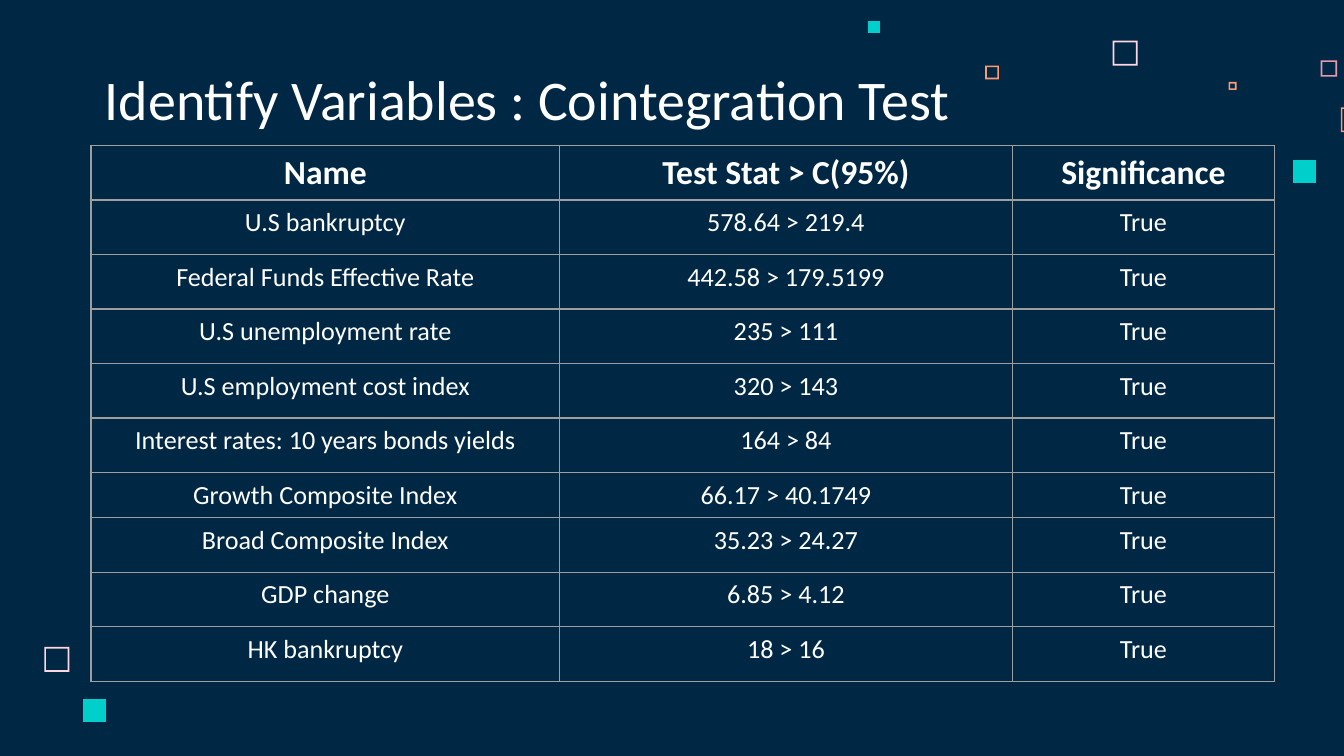
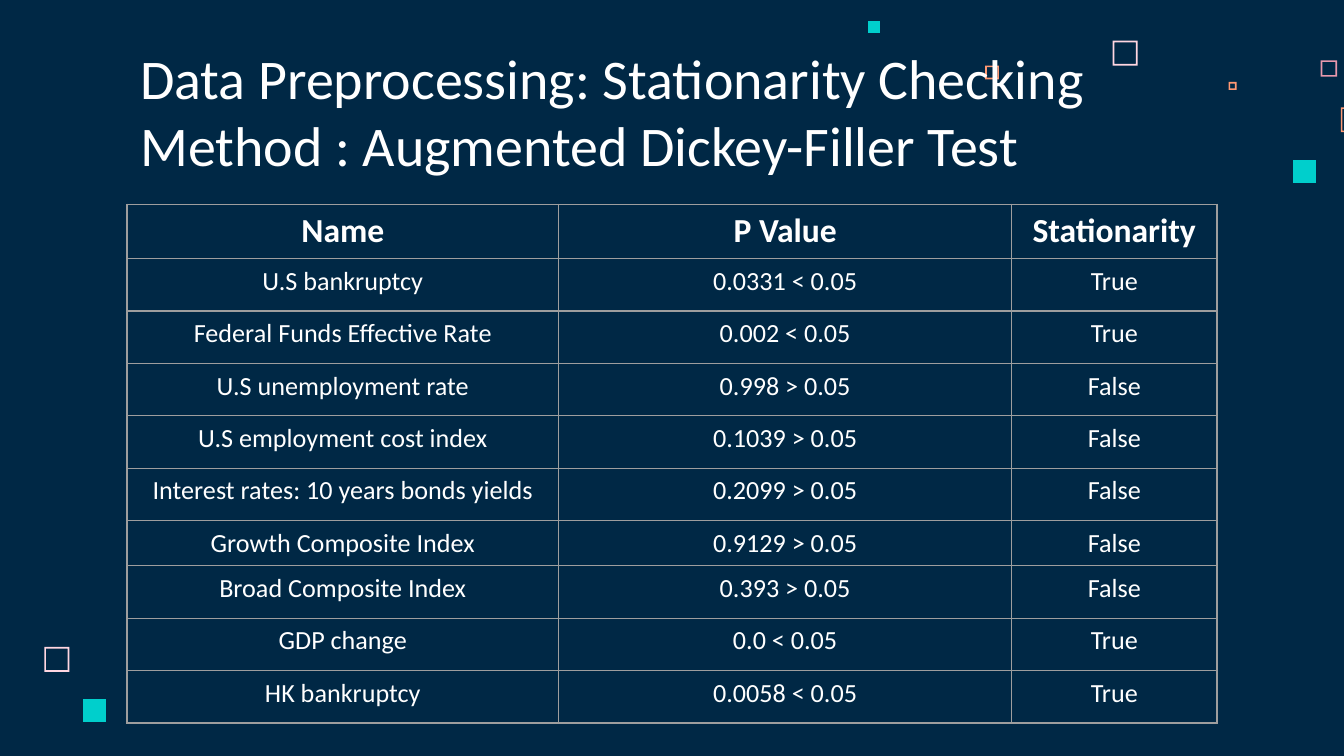
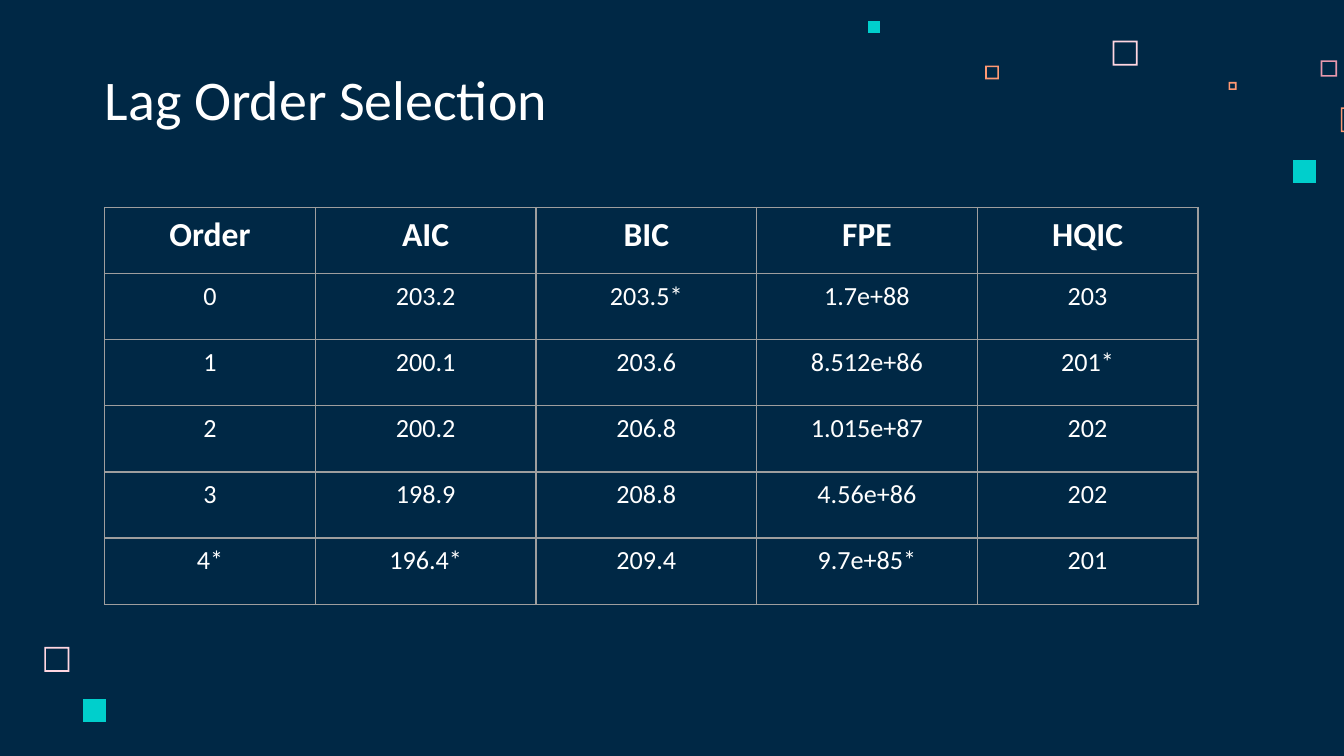
from lxml.etree import SubElement
from pptx import Presentation
from pptx.dml.color import RGBColor
from pptx.enum.text import MSO_ANCHOR, MSO_AUTO_SIZE, PP_ALIGN
from pptx.oxml.ns import qn
from pptx.util import Cm, Pt

FONT = "Calibri"
NAVY, WHITE, GREY = "002845", "FFFFFF", "9E9E9E"
TEAL, ORANGE, PINK, ROSE = "00CFCC", "FF9973", "FFD6E1", "E898AC"
BORDER_WIDTH = Pt(0.75)
FRAME_THICKNESS = 0.03
TITLE_HEIGHT = 1.6

# left, top, side (cm), colour
SOLID_SQUARES = [
    (24.43, 3.02, 0.44, TEAL),
    (16.41, 0.4, 0.23, TEAL),
    (1.57, 13.21, 0.44, TEAL),
]
HOLLOW_SQUARES = [
    (21.03, 0.77, 0.47, PINK),
    (24.96, 1.14, 0.31, ROSE),
    (23.22, 1.55, 0.15, ORANGE),
    (25.34, 2.03, 0.47, ORANGE),
    (18.62, 1.24, 0.26, ORANGE),
    (0.84, 12.23, 0.47, PINK),
]

INDICATORS = [
    "U.S bankruptcy",
    "Federal Funds Effective Rate",
    "U.S unemployment rate",
    "U.S employment cost index",
    "Interest rates: 10 years bonds yields",
    "Growth Composite Index",
    "Broad Composite Index",
    "GDP change",
    "HK bankruptcy",
]
SHORT_ROW = 6
COINTEGRATION_STATS = [
    "578.64 > 219.4", "442.58 > 179.5199", "235 > 111", "320 > 143", "164 > 84",
    "66.17 > 40.1749", "35.23 > 24.27", "6.85 > 4.12", "18 > 16",
]
STATIONARITY_P_VALUES = [
    "0.0331 < 0.05", "0.002 < 0.05", "0.998 > 0.05", "0.1039 > 0.05", "0.2099 > 0.05",
    "0.9129 > 0.05", "0.393 > 0.05", "0.0 < 0.05", "0.0058 < 0.05",
]
LAG_ORDERS = [
    ("Order", "AIC", "BIC", "FPE", "HQIC"),
    ("0", "203.2", "203.5*", "1.7e+88", "203"),
    ("1", "200.1", "203.6", "8.512e+86", "201*"),
    ("2", "200.2", "206.8", "1.015e+87", "202"),
    ("3", "198.9", "208.8", "4.56e+86", "202"),
    ("4*", "196.4*", "209.4", "9.7e+85*", "201"),
]


def color(hex_code):
    return RGBColor.from_string(hex_code)


def format_spans(para, size, bold=False):
    for span in para.runs:
        span.font.name = FONT
        span.font.size = Pt(size)
        span.font.bold = bold
        span.font.color.rgb = color(WHITE)


def add_square(page, left, top, side, hex_code, hollow=False):
    right, bottom = left + side, top + side
    builder = page.shapes.build_freeform(Cm(left), Cm(top))
    corners = [(right, top), (right, bottom), (left, bottom)]
    builder.add_line_segments([(Cm(x), Cm(y)) for x, y in corners])
    if hollow:
        near_x, near_y = left + FRAME_THICKNESS, top + FRAME_THICKNESS
        far_x, far_y = right - FRAME_THICKNESS, bottom - FRAME_THICKNESS
        builder.move_to(Cm(near_x), Cm(near_y))
        corners = [(near_x, far_y), (far_x, far_y), (far_x, near_y)]
        builder.add_line_segments([(Cm(x), Cm(y)) for x, y in corners])
    square = builder.convert_to_shape()
    square.shadow.inherit = False
    square.fill.solid()
    square.fill.fore_color.rgb = color(hex_code)
    square.line.fill.background()
    return square


def decorate_layout(layout, page):
    """Draw the squares on a page and hand them to the layout all pages share."""
    layout.background.fill.solid()
    layout.background.fill.fore_color.rgb = color(NAVY)
    squares = [add_square(page, *square) for square in SOLID_SQUARES]
    squares += [add_square(page, *square, hollow=True) for square in HOLLOW_SQUARES]
    for square in squares:
        layout.shapes.element.append(square.element)


def place_title(page, text, left, top, width):
    title = page.shapes.title
    title.left, title.top = Cm(left), Cm(top)
    title.width, title.height = Cm(width), Cm(TITLE_HEIGHT)
    frame = title.text_frame
    frame.text = text
    frame.word_wrap = True
    frame.auto_size = MSO_AUTO_SIZE.NONE
    frame.vertical_anchor = MSO_ANCHOR.BOTTOM
    frame.margin_left = frame.margin_right = Cm(0.25)
    frame.margin_top = frame.margin_bottom = Cm(0.25)
    para = frame.paragraphs[0]
    para.alignment = PP_ALIGN.LEFT
    format_spans(para, 30)


def outline_cell(cell):
    properties = cell._tc.get_or_add_tcPr()
    for side in ("a:lnL", "a:lnR", "a:lnT", "a:lnB"):
        line = SubElement(properties, qn(side), w=str(BORDER_WIDTH))
        fill = SubElement(line, qn("a:solidFill"))
        SubElement(fill, qn("a:srgbClr"), val=GREY)


def fill_cell(cell, text, is_header):
    outline_cell(cell)
    cell.fill.background()
    cell.text = text
    para = cell.text_frame.paragraphs[0]
    para.alignment = PP_ALIGN.CENTER
    format_spans(para, 18 if is_header else 14, bold=is_header)


def place_table(page, rows, left, top, column_widths, row_heights):
    box = page.shapes.add_table(
        len(rows), len(column_widths), Cm(left), Cm(top),
        Cm(sum(column_widths)), Cm(sum(row_heights)),
    )
    table = box.table
    table.first_row = table.horz_banding = False
    for column, width in zip(table.columns, column_widths):
        column.width = Cm(width)
    for row_index, (values, height) in enumerate(zip(rows, row_heights)):
        table.rows[row_index].height = Cm(height)
        for column_index, text in enumerate(values):
            fill_cell(table.cell(row_index, column_index), text, row_index == 0)


def indicator_row_heights(regular, short):
    heights = [regular] * (len(INDICATORS) + 1)
    heights[SHORT_ROW] = short
    return heights


def build_cointegration(page):
    rows = [("Name", "Test Stat > C(95%)", "Significance")]
    rows += [(name, stat, "True") for name, stat in zip(INDICATORS, COINTEGRATION_STATS)]
    place_title(page, "Identify Variables : Cointegration Test", 1.73, 1.14, 17.68)
    place_table(page, rows, 1.72, 2.75, [8.86, 8.55, 4.96], indicator_row_heights(1.03, 0.56))


def build_stationarity(page):
    rows = [("Name", "P Value", "Stationarity")]
    for name, p_value in zip(INDICATORS, STATIONARITY_P_VALUES):
        rows.append((name, p_value, "True" if "<" in p_value else "False"))
    title = "Data Preprocessing: Stationarity Checking\vMethod : Augmented Dickey-Filler Test"
    place_title(page, title, 2.4, 2.01, 20.6)
    place_table(page, rows, 2.4, 3.86, [8.16, 8.56, 3.88], indicator_row_heights(0.99, 0.82))


def build_lag_order(page):
    place_title(page, "Lag Order Selection", 1.73, 1.14, 13.13)
    place_table(page, LAG_ORDERS, 1.98, 3.92, [3.98] + [4.17] * 4, [1.25] * len(LAG_ORDERS))


def main():
    deck = Presentation()
    deck.slide_width, deck.slide_height = Cm(25.4), Cm(14.29)
    layout = deck.slide_layouts.get_by_name("Title Only")
    builders = [build_cointegration, build_stationarity, build_lag_order]
    pages = [deck.slides.add_slide(layout) for _ in builders]
    decorate_layout(layout, pages[0])
    for build, page in zip(builders, pages):
        build(page)
    deck.save("out.pptx")


if __name__ == "__main__":
    main()
